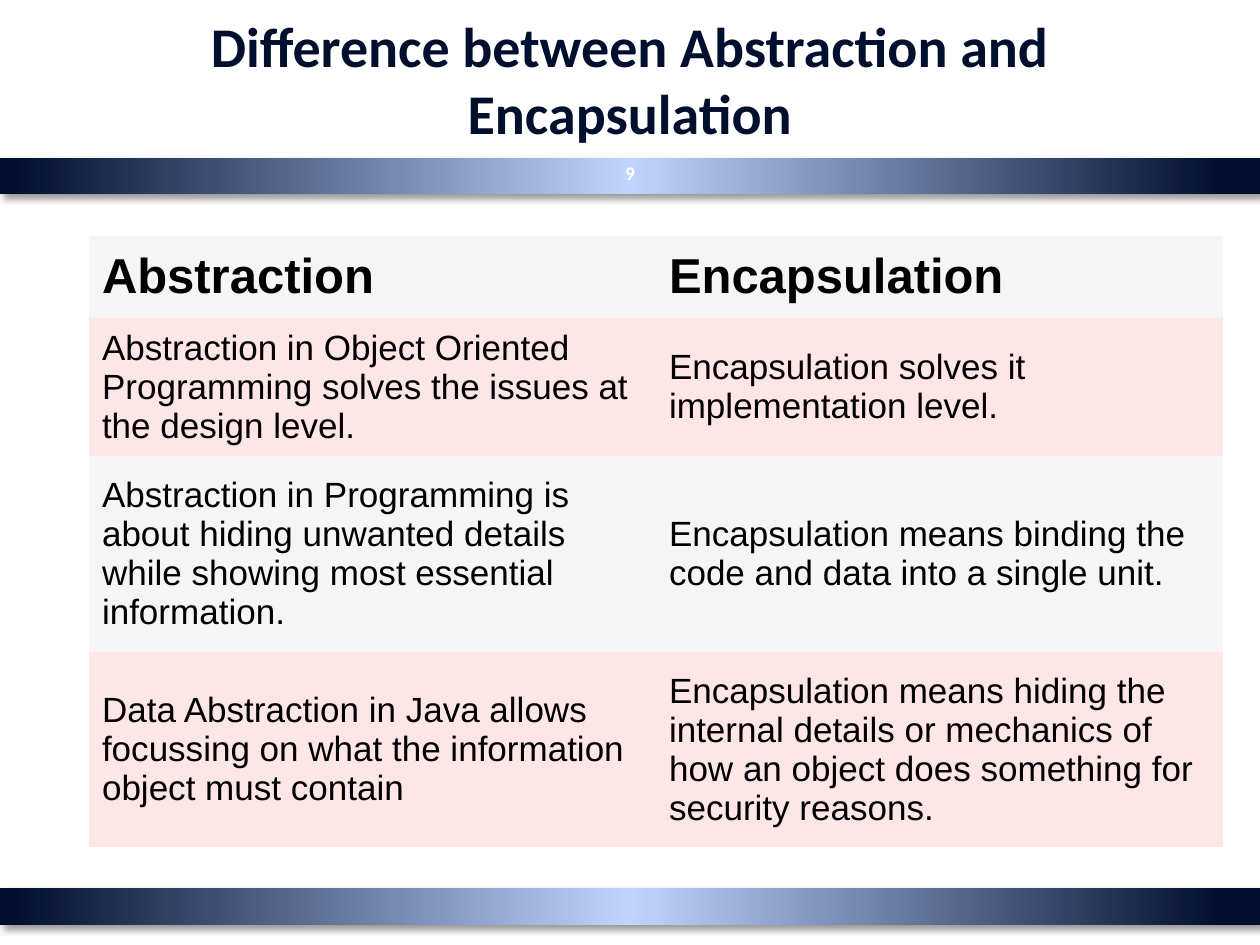
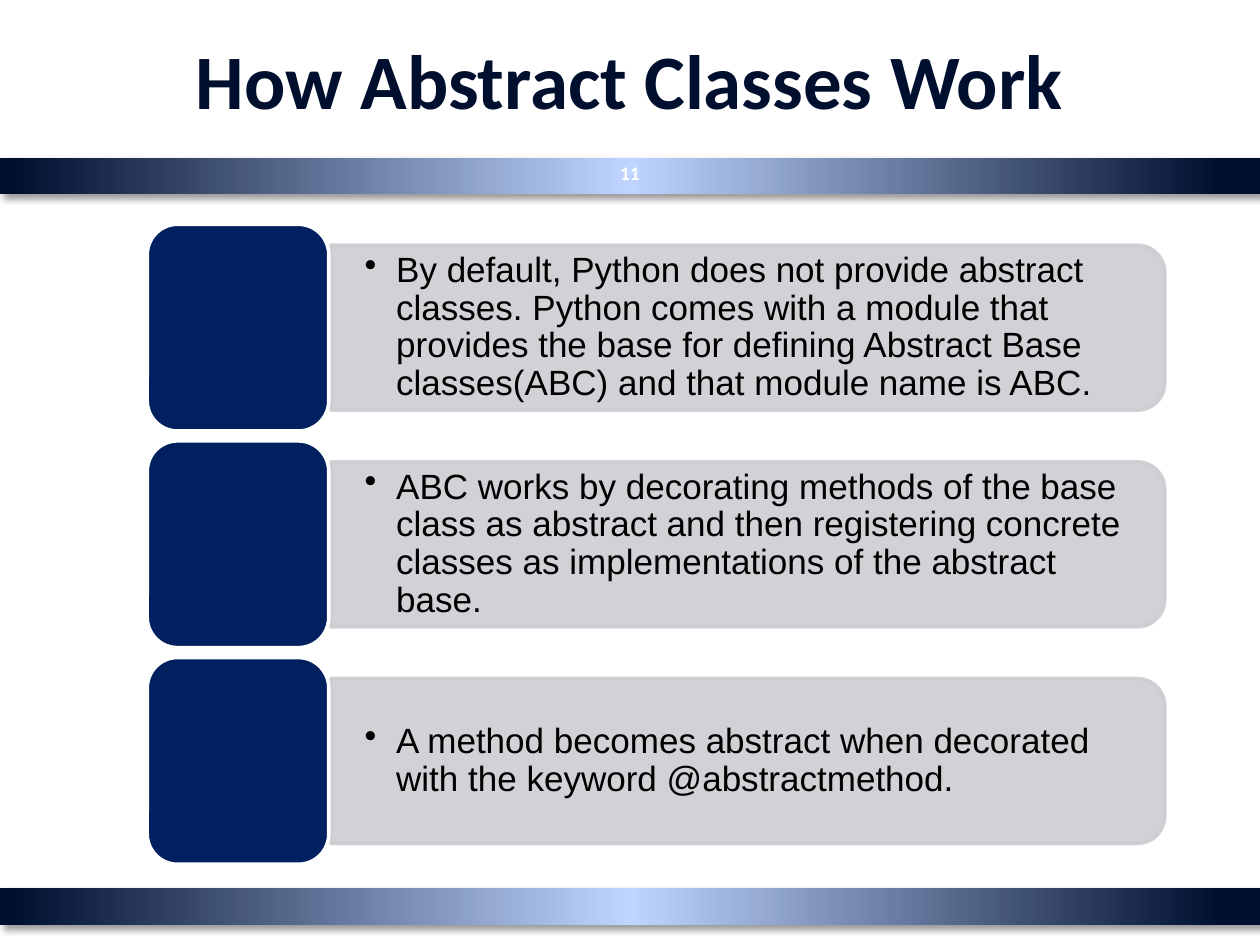
"""Builds two slides on abstraction and encapsulation."""
from pptx import Presentation
from pptx.dml.color import RGBColor
from pptx.enum.shapes import MSO_SHAPE
from pptx.enum.text import MSO_ANCHOR, PP_ALIGN
from pptx.oxml import parse_xml
from pptx.oxml.ns import nsdecls, qn
from pptx.util import Pt
from lxml.etree import SubElement

DIFF = "Difference between Abstraction and Encapsulation"
WORK = "How Abstract Classes Work"
ROWS = [
    ("Abstraction", "Encapsulation"),
    ("Abstraction in Object Oriented Programming solves the issues at the design level.",
     "Encapsulation solves it implementation level."),
    ("Abstraction in Programming is about hiding unwanted details while showing most essential information.",
     "Encapsulation means binding the code and data into a single unit."),
    ("Data Abstraction in Java allows focussing on what the information object must contain",
     "Encapsulation means hiding the internal details or mechanics of how an object does something for security reasons."),
]
STEPS = [
    "By default, Python does not provide abstract classes. Python comes with a module that provides "
    "the base for defining Abstract Base classes(ABC) and that module name is ABC.",
    "ABC works by decorating methods of the base class as abstract and then registering concrete "
    "classes as implementations of the abstract base.",
    "A method becomes abstract when decorated with the keyword @abstractmethod.",
]

NAVY = RGBColor(0x00, 0x0F, 0x2E)
SKY = RGBColor(0xBF, 0xD5, 0xFF)
BLUE = RGBColor(0x00, 0x20, 0x60)
GREY = RGBColor(0xCC, 0xCD, 0xD2)
PALE = RGBColor(0xF5, 0xF5, 0xF5)
PINK = RGBColor(0xFF, 0xE6, 0xE6)
WHITE = RGBColor(0xFF, 0xFF, 0xFF)
BLACK = RGBColor(0x00, 0x00, 0x00)

WIDE, HIGH = 720, 540
BANDS = (507.6, 90)
STOPS = ((0, NAVY), (3, NAVY), (50, SKY), (99, NAVY), (100, NAVY))
HEIGHTS = (46.8, 79.2, 111.6, 111.6)
COL = 324
TOP, PITCH = 128.2, 123.8
TILE_W, TILE_H = 103.7, 118.1
BAR_W, BAR_H = 476.6, 94.3
BAR_X = 189
TEXT_W, TEXT_H = 472.3, 85


def write(para, text, size, font, color, bold=False):
    run = para.add_run()
    run.text = text
    run.font.size = Pt(size)
    run.font.name = font
    run.font.bold = bold
    run.font.color.rgb = color


def add_text(slide, x, y, w, h):
    frame = slide.shapes.add_textbox(Pt(x), Pt(y), Pt(w), Pt(h)).text_frame
    frame.word_wrap = True
    frame.vertical_anchor = MSO_ANCHOR.MIDDLE
    return frame


def add_label(slide, box, text, size, color):
    para = add_text(slide, *box).paragraphs[0]
    para.alignment = PP_ALIGN.CENTER
    write(para, text, size, "Calibri", color, True)


def add_form(slide, kind, x, y, w, h):
    form = slide.shapes.add_shape(kind, Pt(x), Pt(y), Pt(w), Pt(h))
    form.shadow.inherit = False
    return form


def paint(form, fill, line):
    form.fill.solid()
    form.fill.fore_color.rgb = fill
    form.line.color.rgb = line
    form.line.width = Pt(2)


def add_band(slide, y):
    band = add_form(slide, MSO_SHAPE.RECTANGLE, 0, y, WIDE, 20.9)
    band.line.fill.background()
    props = band._element.spPr
    stops = "".join(f'<a:gs pos="{pos * 1000}"><a:srgbClr val="{color}"/></a:gs>'
                    for pos, color in STOPS)
    props.find(qn("a:ln")).addprevious(parse_xml(
        f'<a:gradFill {nsdecls("a")}><a:gsLst>{stops}</a:gsLst>'
        '<a:lin ang="10800000" scaled="0"/></a:gradFill>'))
    props.find(qn("a:effectLst")).append(parse_xml(
        f'<a:outerShdw {nsdecls("a")} blurRad="{Pt(4)}" dist="{Pt(3)}" dir="2700000" '
        'algn="tl" rotWithShape="0"><a:srgbClr val="000000"><a:alpha val="40000"/>'
        '</a:srgbClr></a:outerShdw>'))


def add_page(deck, title, size, num):
    slide = deck.slides.add_slide(deck.slide_layouts[6])
    for y in BANDS:
        add_band(slide, y)
    add_label(slide, (36, 0, 648, 90), title, size, NAVY)
    add_label(slide, (344.9, 84.2, 30.2, 28.8), num, 11, WHITE)
    return slide


def add_grid(slide):
    table = slide.shapes.add_table(len(ROWS), 2, Pt(51.1), Pt(134.8),
                                   Pt(2 * COL), Pt(sum(HEIGHTS))).table
    table.first_row = table.horz_banding = False
    style = table._tbl.tblPr.find(qn("a:tableStyleId"))
    style.text = "{2D5ABB26-0587-4C30-8999-92F81FD0307C}"
    for col in table.columns:
        col.width = Pt(COL)
    for i, (texts, high) in enumerate(zip(ROWS, HEIGHTS)):
        table.rows[i].height = Pt(high)
        for j, text in enumerate(texts):
            cell = table.cell(i, j)
            cell.vertical_anchor = MSO_ANCHOR.MIDDLE
            cell.fill.solid()
            cell.fill.fore_color.rgb = PINK if i % 2 else PALE
            write(cell.text_frame.paragraphs[0], text, 20 if i else 28, "Arial", BLACK, i == 0)


def add_bullet(para):
    props = para._p.get_or_add_pPr()
    props.set("marL", str(Pt(18)))
    props.set("indent", str(Pt(-18)))
    tint = SubElement(props, qn("a:buClr"))
    SubElement(tint, qn("a:srgbClr")).set("val", str(BLACK))
    SubElement(props, qn("a:buChar")).set("char", "•")


def add_step(slide, text, y):
    mid = y + TILE_H / 2
    bar = add_form(slide, MSO_SHAPE.ROUND_2_SAME_RECTANGLE,
                   BAR_X + (BAR_W - BAR_H) / 2, mid - BAR_W / 2, BAR_H, BAR_W)
    bar.rotation = 90
    paint(bar, GREY, GREY)
    for tint in bar._element.spPr.iter(qn("a:srgbClr")):
        SubElement(tint, qn("a:alpha")).set("val", "90000")

    frame = add_text(slide, BAR_X, mid - TEXT_H / 2, TEXT_W, TEXT_H)
    frame.margin_left = frame.margin_right = Pt(19.4)
    frame.margin_top = frame.margin_bottom = Pt(10.1)
    para = frame.paragraphs[0]
    add_bullet(para)
    para.line_spacing = 0.9
    write(para, text, 20, "Arial", BLACK)

    tile = add_form(slide, MSO_SHAPE.ROUNDED_RECTANGLE, 84.2, y, TILE_W, TILE_H)
    paint(tile, BLUE, WHITE)


def main():
    deck = Presentation()
    deck.slide_width, deck.slide_height = Pt(WIDE), Pt(HIGH)
    add_grid(add_page(deck, DIFF, 32, "9"))
    slide = add_page(deck, WORK, 44, "11")
    for i, text in enumerate(STEPS):
        add_step(slide, text, TOP + i * PITCH)
    deck.save("out.pptx")


if __name__ == "__main__":
    main()
